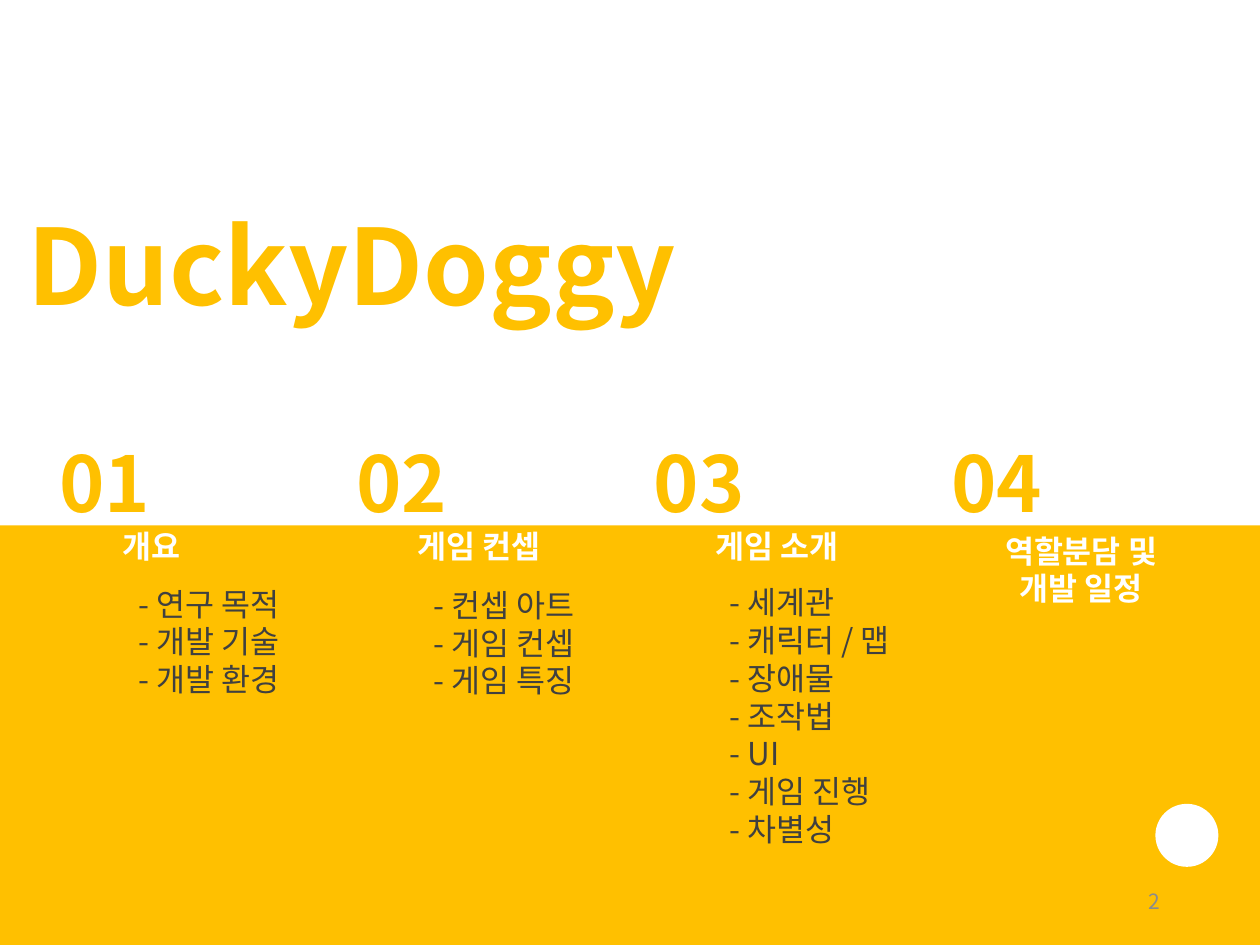
from pptx import Presentation
from pptx.dml.color import RGBColor
from pptx.enum.shapes import MSO_SHAPE
from pptx.enum.text import MSO_ANCHOR, MSO_AUTO_SIZE, PP_ALIGN
from pptx.oxml.ns import qn
from pptx.util import Inches, Pt
from lxml import etree

RECT, OVAL = MSO_SHAPE.RECTANGLE, MSO_SHAPE.OVAL
LEFT, MID, RIGHT = PP_ALIGN.LEFT, PP_ALIGN.CENTER, PP_ALIGN.RIGHT
TOP, CENTER = MSO_ANCHOR.TOP, MSO_ANCHOR.MIDDLE
FIXED = MSO_AUTO_SIZE.NONE

FONT = "Noto Sans CJK KR"
GOLD, WHITE, DARK, GRAY = "FFC000", "FFFFFF", "404040", "8C8C8C"
COLS, ROWS = 100, 75          # grid over the slide
LEAD = 1.2                    # line pitch in ems


def color(code):
    return RGBColor.from_string(code)


def write(shape, text, size=18, ink=DARK, bold=False, align=LEFT, anchor=TOP):
    """Fill a shape with one paragraph per line of text."""
    frame = shape.text_frame
    frame.word_wrap = True
    frame.auto_size = FIXED
    frame.vertical_anchor = anchor
    frame.margin_left = frame.margin_right = Inches(0.1)
    frame.margin_top = frame.margin_bottom = Inches(0.05)
    frame.text = text
    for para in frame.paragraphs:
        para.alignment = align
        para.line_spacing = Pt(round(LEAD * size, 1))
        para.space_before = para.space_after = Pt(0)
        for run in para.runs:
            font = run.font
            font.name, font.size, font.bold = FONT, Pt(size), bold
            font.color.rgb = color(ink)
            east = etree.SubElement(run._r.get_or_add_rPr(), qn("a:ea"))
            east.set("typeface", FONT)


class Deck:
    def __init__(self):
        self.file = Presentation()
        self.file.slide_width, self.file.slide_height = Inches(10), Inches(7.5)
        self.slide = self.file.slides.add_slide(self.file.slide_layouts[5])

    def box(self, x, y, w, h):
        """Turn columns and rows into lengths on the slide."""
        col = self.file.slide_width / COLS
        row = self.file.slide_height / ROWS
        return [round(n) for n in (x * col, y * row, w * col, h * row)]

    def title(self, area, text, **style):
        shape = self.slide.shapes.title
        shape.left, shape.top, shape.width, shape.height = self.box(*area)
        write(shape, text, **style)

    def text(self, area, text, **style):
        write(self.slide.shapes.add_textbox(*self.box(*area)), text, **style)

    def form(self, kind, area, fill):
        shape = self.slide.shapes.add_shape(kind, *self.box(*area))
        shape.shadow.inherit = False
        shape.fill.solid()
        shape.fill.fore_color.rgb = color(fill)
        shape.line.fill.background()


# Heading, its area, then list items and their area
PARTS = [
    ("개요", (4.5, 41.3, 15, 4),
     ["연구 목적", "개발 기술", "개발 환경"], (10, 45.9, 16.8, 13.1)),
    ("게임 컨셉", (28.1, 41.3, 19.9, 4),
     ["컨셉 아트", "게임 컨셉", "게임 특징"], (33.4, 46, 14.5, 10.1)),
    ("게임 소개", (51.7, 41.3, 19.9, 4),
     ["세계관", "캐릭터 / 맵", "장애물", "조작법", "UI", "게임 진행", "차별성"],
     (56.9, 45.8, 19.9, 22.2)),
    ("역할분담 및 개발 일정", (76.8, 41.7, 18, 7.1), [], None),
]
START, STEP = 3.7, 23.6       # first number and pitch of the columns


def main():
    deck = Deck()

    # Lower band and title
    deck.form(RECT, (0, 41.7, COLS, ROWS - 41.7), GOLD)
    deck.title((1.2, 15.4, 53.5, 11.1), "DuckyDoggy",
               size=60, ink=GOLD, bold=True)

    # Numbered columns
    for i, (head, spot, items, area) in enumerate(PARTS):
        deck.text((START + i * STEP, 34.1, 14.5, 8.4), f"{i + 1:02}",
                  size=44, ink=GOLD, bold=True)
        deck.text(spot, head, ink=WHITE, bold=True, align=MID)
        if items:
            deck.text(area, "\n".join(f"- {item}" for item in items))

    # Corner dot and page number
    deck.form(OVAL, (91.7, 63.8, 5, 5), WHITE)
    deck.text((70.6, 69.5, 22.5, 4), "2",
              size=12, ink=GRAY, align=RIGHT, anchor=CENTER)

    deck.file.save("out.pptx")


if __name__ == "__main__":
    main()
